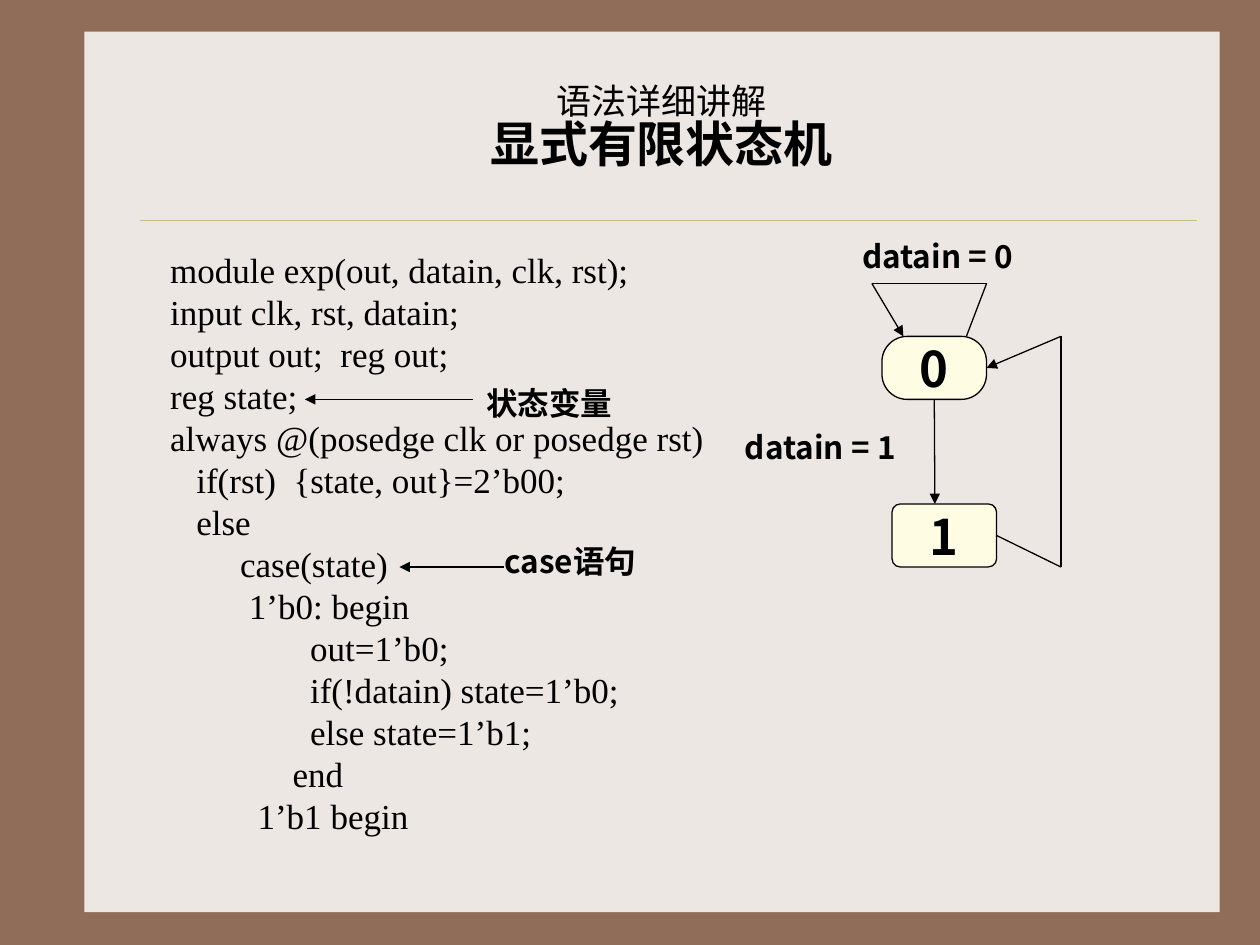
from lxml import etree
from pptx import Presentation, util as u
from pptx.dml.color import RGBColor
from pptx.enum import shapes, text
from pptx.oxml.ns import qn

SANS, SERIF = "Noto Sans CJK SC", "Times New Roman"
ALIGN = text.PP_ALIGN
LABEL = {"size": u.Pt(18), "bold": True}
STATE = {"size": u.Pt(28), "bold": True}

CODE = """module exp(out, datain, clk, rst);
input clk, rst, datain;
output out;  reg out;
reg state;
always @(posedge clk or posedge rst)
   if(rst)  {state, out}=2’b00;
   else
        case(state)
         1’b0: begin
                out=1’b0;
                if(!datain) state=1’b0;
                else state=1’b1;
              end
          1’b1 begin"""


def color(code):
    return RGBColor.from_string(code)


class Deck:
    """Holds the style and the current slide."""
    ink, cream, paper, rule = "000000", "FEFDE3", "EDE7E3", "CBBD83"

    def __init__(self):
        self.prs = Presentation()
        self.prs.slide_width, self.prs.slide_height = u.Inches(10), u.Inches(7.5)
        self.slide = self.prs.slides.add_slide(self.prs.slide_layouts[1])
        self.shapes = self.slide.shapes

    def ground(self, code):
        fill = self.slide.background.fill
        fill.solid()
        fill.fore_color.rgb = color(code)

    def run(self, para, words, form, face=SANS):
        run = para.add_run()
        run.text = words
        for key, val in {"name": face, **form}.items():
            setattr(run.font, key, val)
        run.font.color.rgb = color(self.ink)
        east = etree.SubElement(run._r.get_or_add_rPr(), qn("a:ea"))
        east.set("typeface", face)

    def holder(self, index, box, anchor):
        """Place a template placeholder in front of the page."""
        item = self.slide.placeholders[index]
        item.left, item.top, item.width, item.height = map(u.Inches, box)
        self.shapes._spTree.append(item._element)
        frame = item.text_frame
        form = {"word_wrap": True, "vertical_anchor": anchor,
                "auto_size": text.MSO_AUTO_SIZE.NONE}
        for key, val in form.items():
            setattr(frame, key, val)
        return frame

    def title(self, box, lead, main):
        para = self.holder(0, box, text.MSO_ANCHOR.MIDDLE).paragraphs[0]
        para.alignment, para.line_spacing = ALIGN.CENTER, 0.85
        self.run(para, lead, {"size": u.Pt(20)})
        para.add_line_break()
        self.run(para, main, {"size": u.Pt(28), "bold": True})

    def code(self, box, lines):
        frame = self.holder(1, box, text.MSO_ANCHOR.TOP)
        for num, line in enumerate(lines):
            para = frame.add_paragraph() if num else frame.paragraphs[0]
            form = {"alignment": ALIGN.JUSTIFY, "space_before": u.Pt(0),
                    "line_spacing": u.Pt(24)}
            for key, val in form.items():
                setattr(para, key, val)
            props = para._p.get_or_add_pPr()
            props.set("marL", str(u.Inches(0.38)))
            props.set("indent", str(u.Inches(-0.38)))
            etree.SubElement(props, qn("a:buNone"))
            self.run(para, line, {"size": u.Pt(20)}, SERIF)

    def block(self, kind, box, fill, edge=None):
        item = self.shapes.add_shape(kind, *map(u.Inches, box))
        item.shadow.inherit = False
        item.fill.solid()
        item.fill.fore_color.rgb = color(fill)
        if edge:
            item.line.color.rgb = color(edge)
            item.line.width = u.Pt(0.75)
        else:
            item.line.fill.background()
        return item

    def words(self, item, words, form):
        frame = item.text_frame
        frame.word_wrap = False
        para = frame.paragraphs[0]
        para.alignment = ALIGN.CENTER
        self.run(para, words, form)
        return frame

    def state(self, left, top, words, bend):
        kind = shapes.MSO_SHAPE.ROUNDED_RECTANGLE
        item = self.block(kind, (left, top, 0.83, 0.5), self.cream, self.ink)
        item.adjustments[0] = bend
        self.words(item, words, STATE).vertical_anchor = text.MSO_ANCHOR.MIDDLE
        return item

    def label(self, left, top, width, words):
        box = self.shapes.add_textbox(*map(u.Inches, (left, top, width, 0.4)))
        frame = self.words(box, words, LABEL)
        frame.auto_size = text.MSO_AUTO_SIZE.SHAPE_TO_FIT_TEXT

    def line(self, start, end, head=False, code=ink, width=0.75):
        link = self.shapes.add_connector(
            shapes.MSO_CONNECTOR.STRAIGHT, *map(u.Inches, start + end))
        link.line.color.rgb = color(code)
        link.line.width = u.Pt(width)
        props = link._element.spPr
        if head:
            tip = etree.SubElement(props.find(qn("a:ln")), qn("a:tailEnd"))
            tip.set("type", "triangle")
        etree.SubElement(props, qn("a:effectLst"))
        return link


def main():
    deck = Deck()

    # Page and divider
    deck.ground("906D58")
    deck.block(shapes.MSO_SHAPE.RECTANGLE, (0.67, 0.25, 9.01, 6.99), deck.paper)
    deck.line((1.11, 1.75), (9.5, 1.75), code=deck.rule, width=0.25)

    # Title and code
    deck.title((1, 0.44, 8.5, 1.17), "语法详细讲解", "显式有限状态机")
    deck.code((1.25, 1.92, 8.25, 5), CODE.split("\n"))

    # Notes pointing at the code
    deck.label(3.76, 3, 1.2, "状态变量")
    deck.line((3.75, 3.17), (2.42, 3.17), head=True)
    deck.label(3.87, 4.25, 1.31, "case语句")
    deck.line((4, 4.5), (3.17, 4.5), head=True)

    # States
    zero = deck.state(7, 2.67, "0", 0.4)
    one = deck.state(7.08, 4, "1", 0.13)

    # Way back from state 1 to state 0
    low, high = (8.42, 4.5), (8.42, 2.67)
    deck.line((7.92, 4.25), low).begin_connect(one, 3)
    deck.line(low, high)
    deck.line(high, (7.83, 2.92), head=True).end_connect(zero, 3)

    # Loop on state 0
    loop = [(7.67, 2.67), (7.83, 2.25), (6.92, 2.25), (7.17, 2.67)]
    for start, end in zip(loop, loop[1:]):
        deck.line(start, end, head=end == loop[-1])

    # Step from state 0 to state 1, and conditions
    deck.label(6.73, 1.83, 1.42, "datain = 0")
    deck.label(5.8, 3.35, 1.42, "datain = 1")
    deck.line((7.42, 3.17), (7.42, 4), head=True).begin_connect(zero, 2)

    deck.prs.save("out.pptx")


if __name__ == "__main__":
    main()
